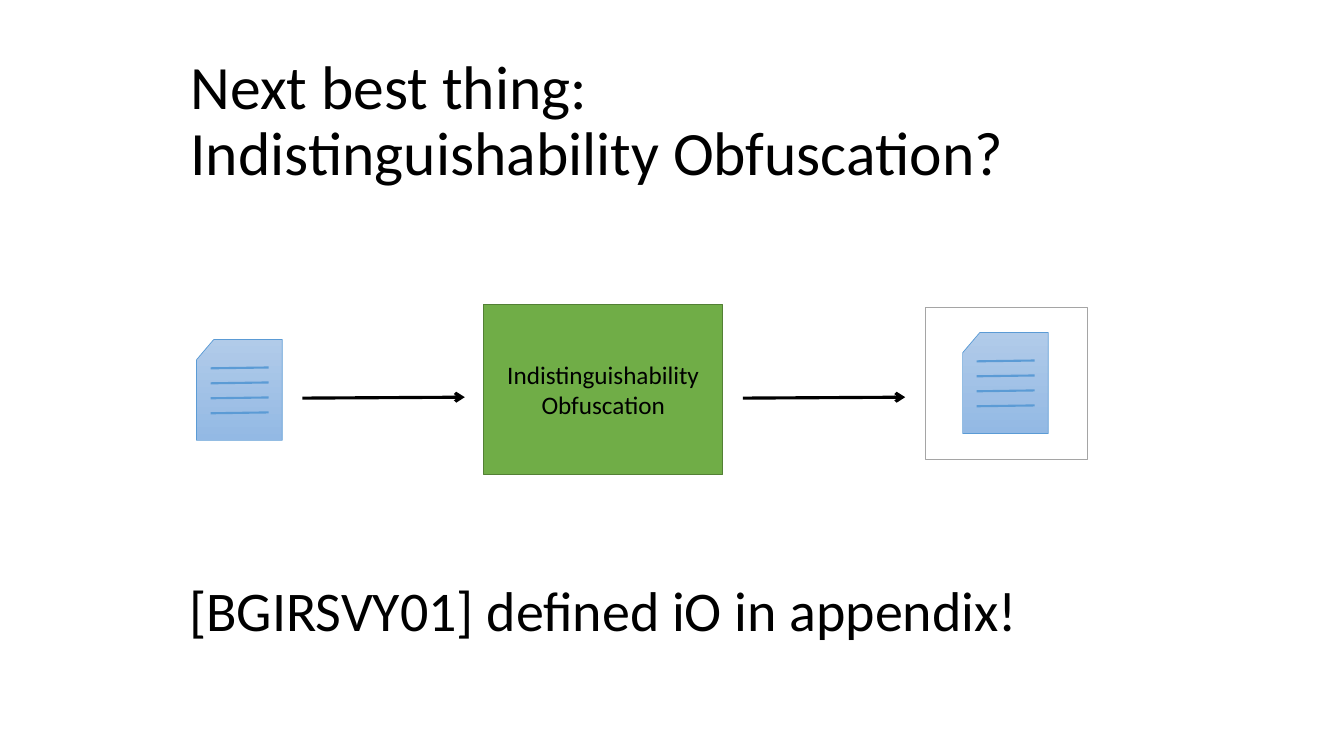
from dataclasses import dataclass

from pptx import Presentation
from pptx.dml.color import RGBColor
from pptx.enum.shapes import MSO_CONNECTOR as Connector, MSO_SHAPE as Shape
from pptx.enum.text import MSO_ANCHOR as Anchor, MSO_AUTO_SIZE as AutoSize, PP_ALIGN as Align
from pptx.oxml.ns import qn
from pptx.util import Pt
from lxml.etree import SubElement

COLOURS = {
    "ink": "000000", "paper": "FFFFFF", "frame": "A5A5A5",
    "green": "70AD47", "dark green": "538035",
    "blue": "5B9BD5", "page top": "B1CBE9", "page bottom": "93B9E4",
}


@dataclass(frozen=True)
class Box:
    left: float
    top: float
    width: float
    height: float

    def lengths(self) -> list:
        return [Pt(v) for v in (self.left, self.top, self.width, self.height)]


@dataclass(frozen=True)
class Panel:
    box: Box
    fill: str
    line: str


@dataclass(frozen=True)
class Stroke:
    x1: float
    y1: float
    x2: float
    y2: float
    colour: str
    weight: float
    arrow: bool = False


TITLE_BOX = Box(128.9, 35.3, 828, 104.4)
CITATION_BOX = Box(128.2, 407.5, 697.7, 55.4)
OUTPUT_FRAME = Panel(Box(661, 219.6, 115.9, 108.7), "paper", "frame")
OBFUSCATOR = Panel(Box(345.6, 217.4, 170.6, 121.7), "green", "dark green")
PROGRAMS = [Box(140.4, 242.6, 61.2, 72), Box(687.6, 237.6, 61.2, 72)]
ARROWS = [Stroke(x, 284.4, x + 116, 283.7, "ink", 2.25, True) for x in (216, 530.6)]


def rgb(name: str) -> RGBColor:
    return RGBColor.from_string(COLOURS[name])


def apply(target, values: dict) -> None:
    for name, value in values.items():
        setattr(target, name, value)


def set_line(line, colour: str, weight: float) -> None:
    line.color.rgb = rgb(colour)
    line.width = Pt(weight)


def write(frame, text: str, size: float, frame_format: dict, paragraph_format: dict) -> None:
    frame.text = text
    apply(frame, {"word_wrap": True} | frame_format)
    paragraph = frame.paragraphs[0]
    apply(paragraph, paragraph_format)
    for run in paragraph.runs:
        apply(run.font, {"name": "Calibri", "size": Pt(size)})
        run.font.color.rgb = rgb("ink")


def draw_panel(shapes, panel: Panel):
    rectangle = shapes.add_shape(Shape.RECTANGLE, *panel.box.lengths())
    rectangle.shadow.inherit = False
    rectangle.fill.solid()
    rectangle.fill.fore_color.rgb = rgb(panel.fill)
    set_line(rectangle.line, panel.line, 1)
    return rectangle


def draw_stroke(shapes, stroke: Stroke) -> None:
    ends = [Pt(v) for v in (stroke.x1, stroke.y1, stroke.x2, stroke.y2)]
    connector = shapes.add_connector(Connector.STRAIGHT, *ends)
    set_line(connector.line, stroke.colour, stroke.weight)
    properties = connector._element.spPr
    if stroke.arrow:
        SubElement(properties.find(qn("a:ln")), qn("a:tailEnd"), type="arrow")
    SubElement(properties, qn("a:effectLst"))


def draw_program(shapes, box: Box) -> None:
    program = shapes.add_group_shape().shapes
    page = program.add_shape(Shape.FLOWCHART_CARD, *box.lengths())
    page.shadow.inherit = False
    page.fill.gradient()
    page.fill.gradient_angle = 270
    for stop, colour in zip(page.fill.gradient_stops, ("page top", "page bottom")):
        stop.color.rgb = rgb(colour)
    set_line(page.line, "blue", 0.5)
    for row in range(4):
        y = box.top + 20.5 + 10.7 * row
        draw_stroke(program, Stroke(box.left + 10, y, box.left + 51.5, y - 0.6, "blue", 1.5))


def main() -> None:
    deck = Presentation()
    apply(deck, {"slide_width": Pt(960), "slide_height": Pt(540)})
    slide = deck.slides.add_slide(deck.slide_layouts[5])
    shapes = slide.shapes

    # Title
    title = shapes.title
    apply(title, dict(zip(("left", "top", "width", "height"), TITLE_BOX.lengths())))
    write(title.text_frame, "Next best thing: \vIndistinguishability Obfuscation?", 44,
          {"vertical_anchor": Anchor.MIDDLE, "auto_size": AutoSize.NONE},
          {"alignment": Align.LEFT, "line_spacing": 0.9})

    # Program, obfuscator, obfuscated program
    draw_panel(shapes, OUTPUT_FRAME)
    obfuscator = draw_panel(shapes, OBFUSCATOR)
    write(obfuscator.text_frame, "Indistinguishability Obfuscation", 18,
          {"vertical_anchor": Anchor.MIDDLE}, {"alignment": Align.CENTER})
    for box in PROGRAMS:
        draw_program(shapes, box)
    for arrow in ARROWS:
        draw_stroke(shapes, arrow)

    # Citation
    citation = shapes.add_textbox(*CITATION_BOX.lengths())
    write(citation.text_frame, "[BGIRSVY01] defined iO in appendix!", 40,
          {"auto_size": AutoSize.SHAPE_TO_FIT_TEXT}, {"alignment": Align.LEFT})

    deck.save("out.pptx")


if __name__ == "__main__":
    main()
